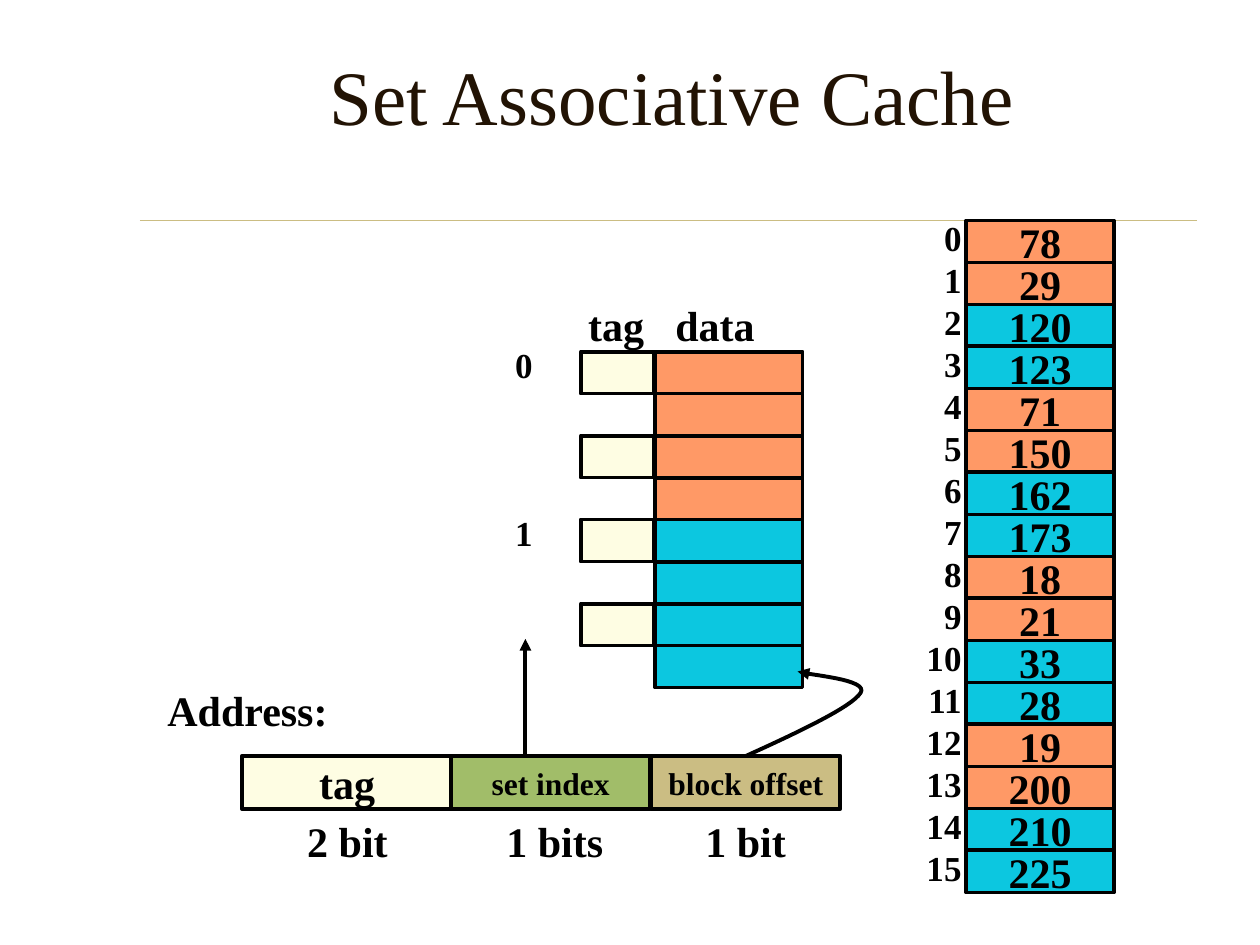
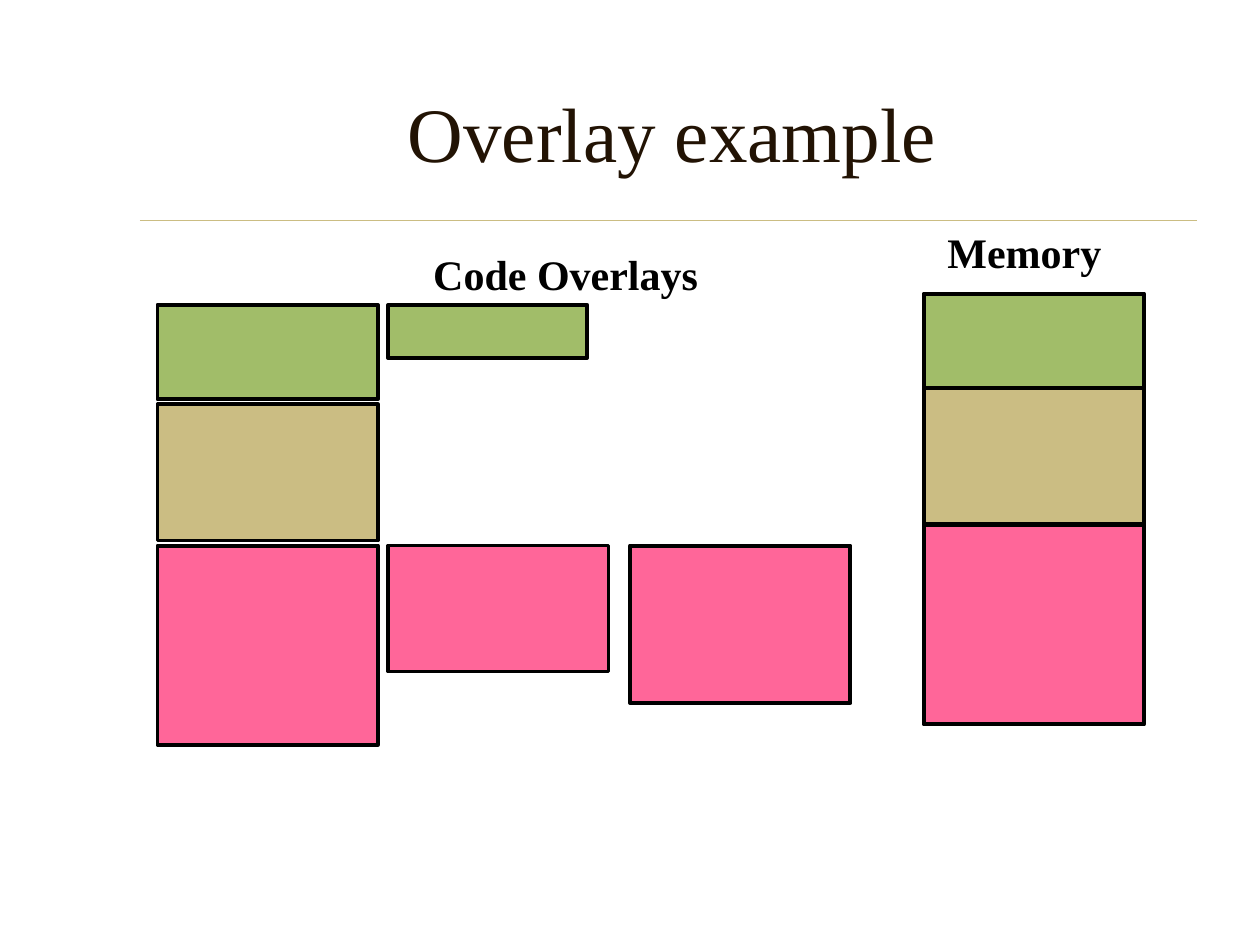
from lxml import etree
from pptx import Presentation
from pptx.dml.color import RGBColor
from pptx.enum.shapes import MSO_CONNECTOR, MSO_SHAPE
from pptx.enum.text import MSO_ANCHOR, PP_ALIGN
from pptx.oxml.ns import qn
from pptx.util import Inches, Pt

BLACK = RGBColor(0x00, 0x00, 0x00)
TITLE_BROWN = RGBColor(0x22, 0x13, 0x04)
CREAM = RGBColor(0xFE, 0xFD, 0xE3)
ORANGE = RGBColor(0xFF, 0x99, 0x66)
CYAN = RGBColor(0x0C, 0xC7, 0xE0)
GREEN = RGBColor(0xA1, 0xBD, 0x69)
TAN = RGBColor(0xCB, 0xBD, 0x83)
PINK = RGBColor(0xFF, 0x66, 0x99)

FONT = "Times New Roman"
LINE_HEIGHT = 1.2
OUTLINE = 2.25
ROW_HEIGHT = 1 / 3


def bezier_points(start, control_1, control_2, end, steps=16):
    """Return points along a cubic curve, leaving out its start."""
    points = []
    for step in range(1, steps + 1):
        t = step / steps
        weights = ((1 - t) ** 3, 3 * t * (1 - t) ** 2, 3 * t ** 2 * (1 - t), t ** 3)
        corners = (start, control_1, control_2, end)
        points.append(tuple(sum(weight * corner[axis] for weight, corner in zip(weights, corners))
                            for axis in (0, 1)))
    return points


class DiagramDeck:
    """Holds the shared style and the slide being drawn."""

    def __init__(self):
        self.presentation = Presentation()
        self.presentation.slide_width = Inches(10)
        self.presentation.slide_height = Inches(7.5)
        self.slide = None

    def new_slide(self, title, top, height):
        self.slide = self.presentation.slides.add_slide(self.presentation.slide_layouts[6])
        self.line((1.11, 1.75), (9.5, 1.75), TAN, 0.25)
        box = self.label(title, 1.17, top, 8.33, height, size=44, color=TITLE_BROWN,
                         bold=False, align=PP_ALIGN.CENTER)
        box.text_frame.word_wrap = True
        box.text_frame.vertical_anchor = MSO_ANCHOR.MIDDLE

    def set_text(self, shape, text, size, color=BLACK, bold=True, align=PP_ALIGN.LEFT):
        frame = shape.text_frame
        frame.word_wrap = False
        frame.text = text
        for paragraph in frame.paragraphs:
            paragraph.alignment = align
            paragraph.line_spacing = Pt(size * LINE_HEIGHT)
            paragraph.font.name = FONT
            paragraph.font.size = Pt(size)
            paragraph.font.bold = bold
            paragraph.font.color.rgb = color

    def label(self, text, left, top, width, height=0.5, size=24, **style):
        box = self.slide.shapes.add_textbox(Inches(left), Inches(top), Inches(width), Inches(height))
        self.set_text(box, text, size, **style)
        return box

    def block(self, left, top, width, height, fill, text=None, size=24):
        shape = self.slide.shapes.add_shape(MSO_SHAPE.RECTANGLE, Inches(left), Inches(top),
                                            Inches(width), Inches(height))
        shape.shadow.inherit = False
        shape.fill.solid()
        shape.fill.fore_color.rgb = fill
        self.set_line(shape, BLACK, OUTLINE)
        if text:
            self.set_text(shape, text, size, align=PP_ALIGN.CENTER)
            shape.text_frame.vertical_anchor = MSO_ANCHOR.MIDDLE

    def set_line(self, shape, color, width, arrow=False):
        shape.line.color.rgb = color
        shape.line.width = Pt(width)
        if arrow:
            outline = shape._element.spPr.find(qn("a:ln"))
            etree.SubElement(outline, qn("a:tailEnd"), type="triangle")

    def line(self, start, end, color=BLACK, width=OUTLINE, arrow=False):
        connector = self.slide.shapes.add_connector(
            MSO_CONNECTOR.STRAIGHT, *(Inches(value) for value in start + end))
        self.set_line(connector, color, width, arrow)
        etree.SubElement(connector._element.spPr, qn("a:effectLst"))

    def curved_arrow(self, start, *curves):
        """Draw an arrow through cubic curves, each given as two controls and an end."""
        points = [start]
        for curve in curves:
            points += bezier_points(points[-1], *curve)
        emu_points = [(Inches(x), Inches(y)) for x, y in points]
        builder = self.slide.shapes.build_freeform(*emu_points[0])
        builder.add_line_segments(emu_points[1:], close=False)
        shape = builder.convert_to_shape()
        shape.shadow.inherit = False
        shape.fill.background()
        self.set_line(shape, BLACK, OUTLINE, arrow=True)


def draw_cache_slide(deck):
    deck.new_slide("Set Associative Cache", 0.33, 0.84)

    memory_values = (78, 29, 120, 123, 71, 150, 162, 173, 18, 21, 33, 28, 19, 200, 210, 225)
    for address, value in enumerate(memory_values):
        set_color = (ORANGE, CYAN)[address // 2 % 2]
        deck.block(7.67, 1.75 + address * ROW_HEIGHT, 1.17, ROW_HEIGHT, set_color, str(value))
    addresses = "\n".join(str(address) for address in range(len(memory_values)))
    deck.label(addresses, 7.25, 1.67, 0.48, 5.44, size=20, align=PP_ALIGN.RIGHT)

    deck.label("tag", 4.52, 2.33, 0.74, align=PP_ALIGN.CENTER)
    deck.label("data", 5.22, 2.33, 0.91, align=PP_ALIGN.CENTER)
    for row in range(8):
        top = 2.79 + row * ROW_HEIGHT
        if row % 2 == 0:
            deck.block(4.61, top, 0.58, ROW_HEIGHT, CREAM)
        deck.block(5.2, top, 1.17, ROW_HEIGHT, (ORANGE, CYAN)[row // 4])
        if row % 4 == 0:
            deck.label(str(row // 4), 3.99, top - 0.11, 0.34, 0.43, size=20)

    deck.label("Address:", 1.23, 5.38, 1.48)
    address_fields = (
        ("tag", 1.92, 1.67, CREAM, 24),
        ("set index", 3.58, 1.58, GREEN, 18),
        ("block offset", 5.17, 1.5, TAN, 18),
    )
    for name, left, width, fill, size in address_fields:
        deck.block(left, 6, width, 0.42, fill, name, size)
    for bits, left, width in (("2 bit", 2.34, 0.84), ("1 bits", 3.92, 0.97), ("1 bit", 5.5, 0.84)):
        deck.label(bits, left, 6.42, width)

    deck.line((4.17, 6.01), (4.17, 5.07), arrow=True)
    deck.curved_arrow((5.92, 6),
                      ((6.34, 5.81), (6.76, 5.61), (6.83, 5.5)),
                      ((6.9, 5.39), (6.42, 5.36), (6.33, 5.33)))


def draw_overlay_slide(deck):
    deck.new_slide("Overlay example", 0.42, 1.25)
    deck.label("Memory", 7.42, 1.75, 1.42, align=PP_ALIGN.CENTER)
    deck.label("Code Overlays", 3.34, 1.92, 2.3)

    segments = ((GREEN, 0.75, 2.33, 2.42), (TAN, 1.08, 3.08, 3.21), (PINK, 1.58, 4.17, 4.33))
    for fill, height, memory_top, code_top in segments:
        deck.block(7.33, memory_top, 1.75, height, fill)
        deck.block(1.25, code_top, 1.75, height, fill)

    deck.block(3.08, 2.42, 1.58, 0.42, GREEN)
    deck.block(3.08, 4.33, 1.75, 1, PINK)
    deck.block(5, 4.33, 1.75, 1.25, PINK)


def main():
    deck = DiagramDeck()
    draw_cache_slide(deck)
    draw_overlay_slide(deck)
    deck.presentation.save("out.pptx")


if __name__ == "__main__":
    main()
